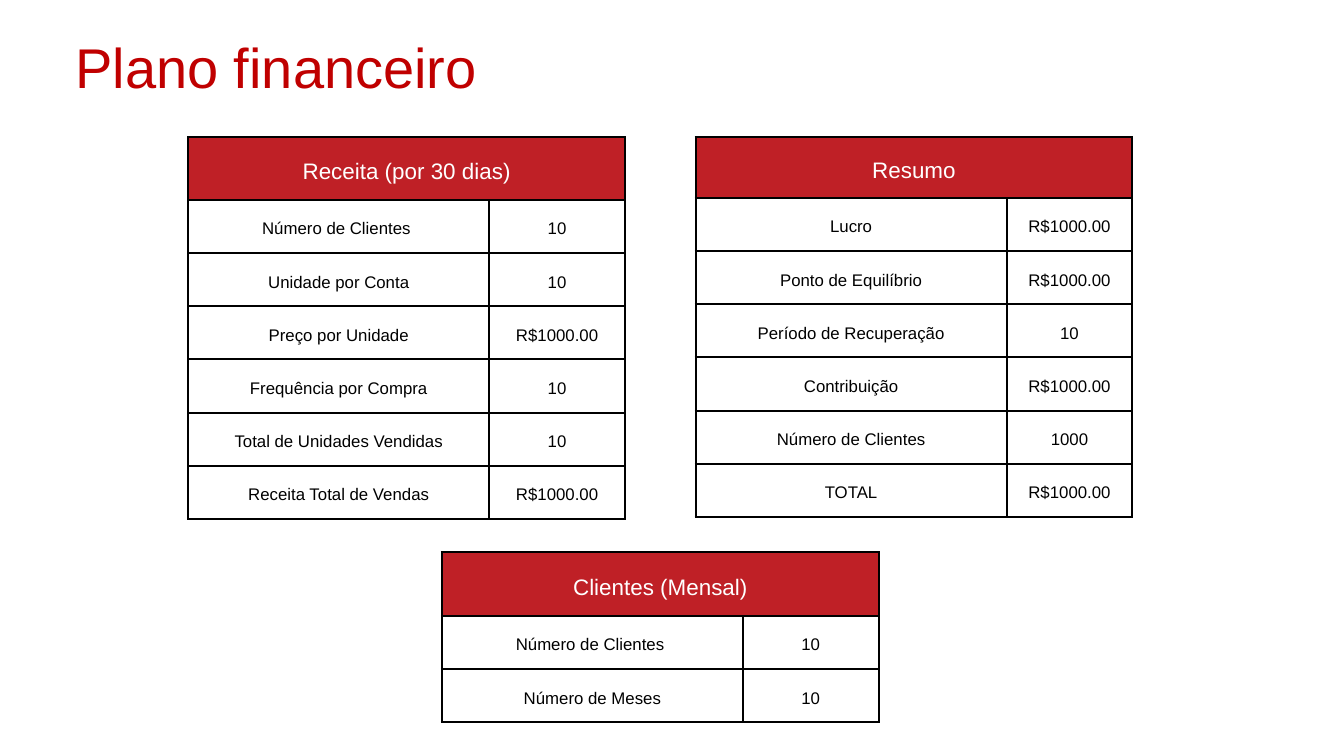
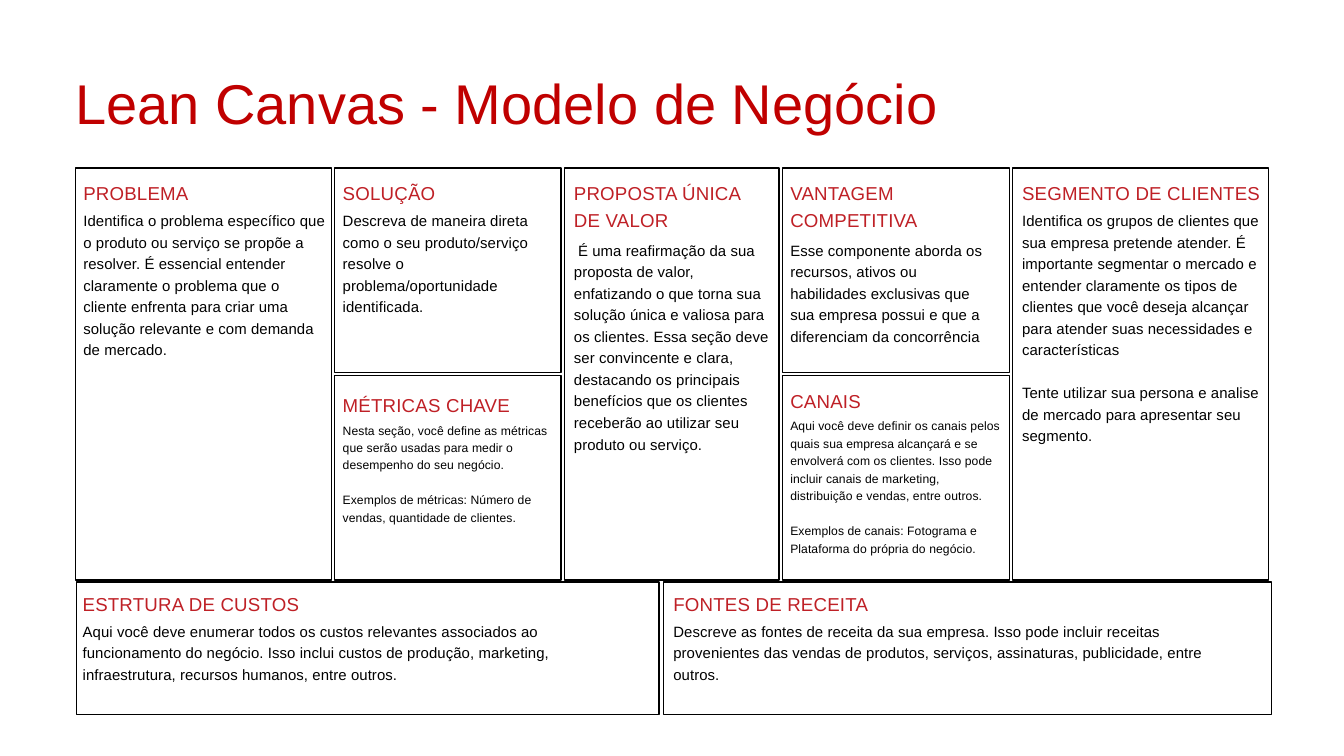
from itertools import accumulate

from lxml import etree
from pptx import Presentation
from pptx.dml.color import RGBColor
from pptx.enum.shapes import MSO_SHAPE
from pptx.enum.text import MSO_ANCHOR, MSO_AUTO_SIZE, PP_ALIGN
from pptx.oxml.ns import qn
from pptx.util import Inches, Pt

RECT = MSO_SHAPE.RECTANGLE
TOP, MIDDLE = MSO_ANCHOR.TOP, MSO_ANCHOR.MIDDLE
LEFT, CENTER = PP_ALIGN.LEFT, PP_ALIGN.CENTER
FIXED = MSO_AUTO_SIZE.NONE

COLORS = {"title": "C00000", "brand": "BF2026", "ink": "000000", "paper": "FFFFFF"}
FONT = "Arial"
WIDE, HIGH = 20, 11.25
EDGE = 1.12
TITLE = (EDGE, 17.75, 1.02)

PANEL, SPACE, PANEL_TOP = 6.5, 1.05, 2.04
ROW, PAD, BORDER = 0.79, 0.17, 2.47
INCOME = [
    ("Receita (por 30 dias)", ""),
    ("Número de Clientes ", "10"),
    ("Unidade por Conta", "10"),
    ("Preço por Unidade", "R$1000.00"),
    ("Frequência por Compra", "10"),
    ("Total de Unidades Vendidas", "10"),
    ("Receita Total de Vendas", "R$1000.00"),
]
CLIENTS = [
    ("Clientes (Mensal)", ""),
    ("Número de Clientes ", "10"),
    ("Número de Meses", "10"),
]
SUMMARY = [
    ("Resumo", ""),
    ("Lucro", "R$1000.00"),
    ("Ponto de Equilíbrio", "R$1000.00"),
    ("Período de Recuperação", "10"),
    ("Contribuição", "R$1000.00"),
    ("Número de Clientes", "1000"),
    ("TOTAL", "R$1000.00"),
]

GAP, GRID_TOP, HALF, FOOT = 0.05, 2.5, 3.04, 1.97
FULL = 2 * HALF + GAP
COLS = [3.81, 3.37, 3.19, 3.38, 3.81]
FEET = [8.67, 9.05]
PROBLEM = ["Identifica o problema específico que o produto ou serviço se propõe a resolver. "
           "É essencial entender claramente o problema que o cliente enfrenta para criar uma "
           "solução relevante e com demanda de mercado."]
ANSWER = ["Descreva de maneira direta como o seu produto/serviço resolve o "
          "problema/oportunidade identificada."]
METRICS = ["Nesta seção, você define as métricas que serão usadas para medir o desempenho "
           "do seu negócio.",
           "Exemplos de métricas: Número de vendas, quantidade de clientes."]
VALUE = [" É uma reafirmação da sua proposta de valor, enfatizando o que torna sua solução "
         "única e valiosa para os clientes. Essa seção deve ser convincente e clara, "
         "destacando os principais benefícios que os clientes receberão ao utilizar seu "
         "produto ou serviço."]
EDGES = ["Esse componente aborda os recursos, ativos ou habilidades exclusivas que sua "
         "empresa possui e que a diferenciam da concorrência"]
CHANNELS = ["Aqui você deve definir os canais pelos quais sua empresa alcançará e se envolverá "
            "com os clientes. Isso pode incluir canais de marketing, distribuição e vendas, "
            "entre outros.",
            "Exemplos de canais: Fotograma e Plataforma do própria do negócio."]
SEGMENT = ["Identifica os grupos de clientes que sua empresa pretende atender. É importante "
           "segmentar o mercado e entender claramente os tipos de clientes que você deseja "
           "alcançar para atender suas necessidades e características",
           "Tente utilizar sua persona e analise de mercado para apresentar seu segmento."]
COSTS = ["Aqui você deve enumerar todos os custos relevantes associados ao funcionamento do "
         "negócio. Isso inclui custos de produção, marketing, infraestrutura, recursos "
         "humanos, entre outros."]
SALES = ["Descreve as fontes de receita da sua empresa. Isso pode incluir receitas "
         "provenientes das vendas de produtos, serviços, assinaturas, publicidade, entre "
         "outros."]


def color(name):
    """Return a palette colour."""
    return RGBColor.from_string(COLORS[name])


def place(box):
    """Turn a box of grid units into slide lengths."""
    return [Inches(n) for n in box]


def style(par, size, tint, lead, align=LEFT, track=0):
    """Format one paragraph."""
    par.alignment = align
    par.line_spacing = Pt(lead)
    font = par.font
    font.name, font.size, font.bold = FONT, Pt(size), False
    font.color.rgb = color(tint)
    if track:
        par._p.get_or_add_pPr().find(qn("a:defRPr")).set("spc", str(track))


def clear(frame):
    """Make a text frame wrap from its top left corner without margins."""
    frame.word_wrap = True
    frame.auto_size = FIXED
    frame.vertical_anchor = TOP
    frame.margin_left = frame.margin_right = frame.margin_top = frame.margin_bottom = 0


def start(deck, text, top):
    """Add a slide with its title."""
    slide = deck.slides.add_slide(deck.slide_layouts[5])
    title = slide.shapes.title
    left, width, height = TITLE
    title.left, title.top, title.width, title.height = place((left, top, width, height))
    clear(title.text_frame)
    title.text_frame.text = text
    style(title.text_frame.paragraphs[0], 60, "title", 72)
    return slide


def border(cell):
    """Draw the four edges of a cell."""
    props = cell._tc.get_or_add_tcPr()
    for side in ("lnL", "lnR", "lnT", "lnB"):
        line = etree.SubElement(props, qn(f"a:{side}"), w=str(Pt(BORDER)))
        fill = etree.SubElement(line, qn("a:solidFill"))
        etree.SubElement(fill, qn("a:srgbClr"), val=COLORS["ink"])


def panel(slide, left, top, rows, head, key):
    """Add a two-column table under a merged heading of the given height."""
    box = (left, top, PANEL, head + ROW * (len(rows) - 1))
    table = slide.shapes.add_table(len(rows), 2, *place(box)).table
    table.first_row = table.horz_banding = False
    for col, width in zip(table.columns, (key, PANEL - key)):
        col.width = Inches(width)
    for i, row in enumerate(rows):
        table.rows[i].height = Inches(ROW if i else head)
        for j, text in enumerate(row):
            cell = table.cell(i, j)
            border(cell)
            cell.vertical_anchor = MIDDLE
            cell.margin_left = cell.margin_right = Inches(PAD)
            cell.margin_top = cell.margin_bottom = Inches(PAD)
            cell.text = text
            par = cell.text_frame.paragraphs[0]
            if i:
                cell.fill.background()
                style(par, 18, "ink", 25.2, CENTER)
            else:
                cell.fill.solid()
                cell.fill.fore_color.rgb = color("brand")
                style(par, 24, "paper", 33.6, CENTER)
    table.cell(0, 0).merge(table.cell(0, 1))


def write(slide, box, texts, size, tint, lead, track):
    """Add a text box, with one line of space between paragraphs."""
    frame = slide.shapes.add_textbox(*place(box)).text_frame
    clear(frame)
    for i, text in enumerate(texts):
        par = frame.paragraphs[0] if i == 0 else frame.add_paragraph()
        par.text = text
        style(par, size, tint, lead, track=track)
        if i:
            par.space_before = Pt(lead)


def card(slide, box, head, texts, inset, width, lines=1, size=16):
    """Add an outlined card with a heading and its text."""
    shape = slide.shapes.add_shape(RECT, *place(box))
    shape.shadow.inherit = False
    shape.fill.background()
    shape.line.color.rgb = color("ink")
    shape.line.width = Pt(1.5)
    left, top = box[0] + inset[0], box[1] + inset[1]
    tall = 0.4 * lines
    write(slide, (left, top, min(width, 3.64) if lines == 1 else 2.92, tall),
          [head], 20, "brand", 28.8, 20)
    down = top + tall + (0.06 if lines == 1 else 0.1)
    write(slide, (left, down, width, box[1] + box[3] - down), texts, size, "ink",
          size * 1.44, 10)


def finance(deck):
    """Build the slide of three tables."""
    slide = start(deck, "Plano financeiro", 0.49)
    left = 2.8
    step = PANEL + SPACE
    panel(slide, left, PANEL_TOP, INCOME, 0.94, 4.48)
    panel(slide, left + step / 2, 8.22, CLIENTS, 0.95, 4.48)
    panel(slide, left + step, PANEL_TOP, SUMMARY, 0.91, 4.63)


def canvas(deck):
    """Build the slide of nine cards."""
    slide = start(deck, "Lean Canvas - Modelo de Negócio", 1.02)
    xs = list(accumulate((w + GAP for w in COLS), initial=EDGE))
    low = GRID_TOP + HALF + GAP
    base = GRID_TOP + FULL + 0.03

    def cell(col, top=GRID_TOP, tall=FULL):
        """Return the box of a card in a column."""
        return xs[col], top, COLS[col], tall

    near, far = (0.12, 0.14), (0.14, 0.14)
    card(slide, cell(0), "PROBLEMA", PROBLEM, near, 3.64)
    card(slide, cell(1, tall=HALF), "SOLUÇÃO", ANSWER, near, 2.92)
    card(slide, cell(1, low, HALF), "MÉTRICAS CHAVE", METRICS, (0.12, 0.2), 3.14, size=13)
    card(slide, cell(2), "PROPOSTA ÚNICA DE VALOR", VALUE, far, 2.92, lines=2)
    card(slide, cell(3, tall=HALF), "VANTAGEM COMPETITIVA", EDGES, near, 2.92, lines=2)
    card(slide, cell(3, low, HALF), "CANAIS", CHANNELS, near, 3.19, size=13)
    card(slide, cell(4), "SEGMENTO DE CLIENTES", SEGMENT, far, 3.64)
    left = EDGE + 0.02
    card(slide, (left, base, FEET[0], FOOT), "ESTRTURA DE CUSTOS", COSTS, (0.09, 0.09), 8.02)
    left += FEET[0] + 0.06
    card(slide, (left, base, FEET[1], FOOT), "FONTES DE RECEITA", SALES, (0.15, 0.09), 8.33)


def main():
    """Build and save the deck."""
    deck = Presentation()
    deck.slide_width, deck.slide_height = Inches(WIDE), Inches(HIGH)
    finance(deck)
    canvas(deck)
    deck.save("out.pptx")


if __name__ == "__main__":
    main()
